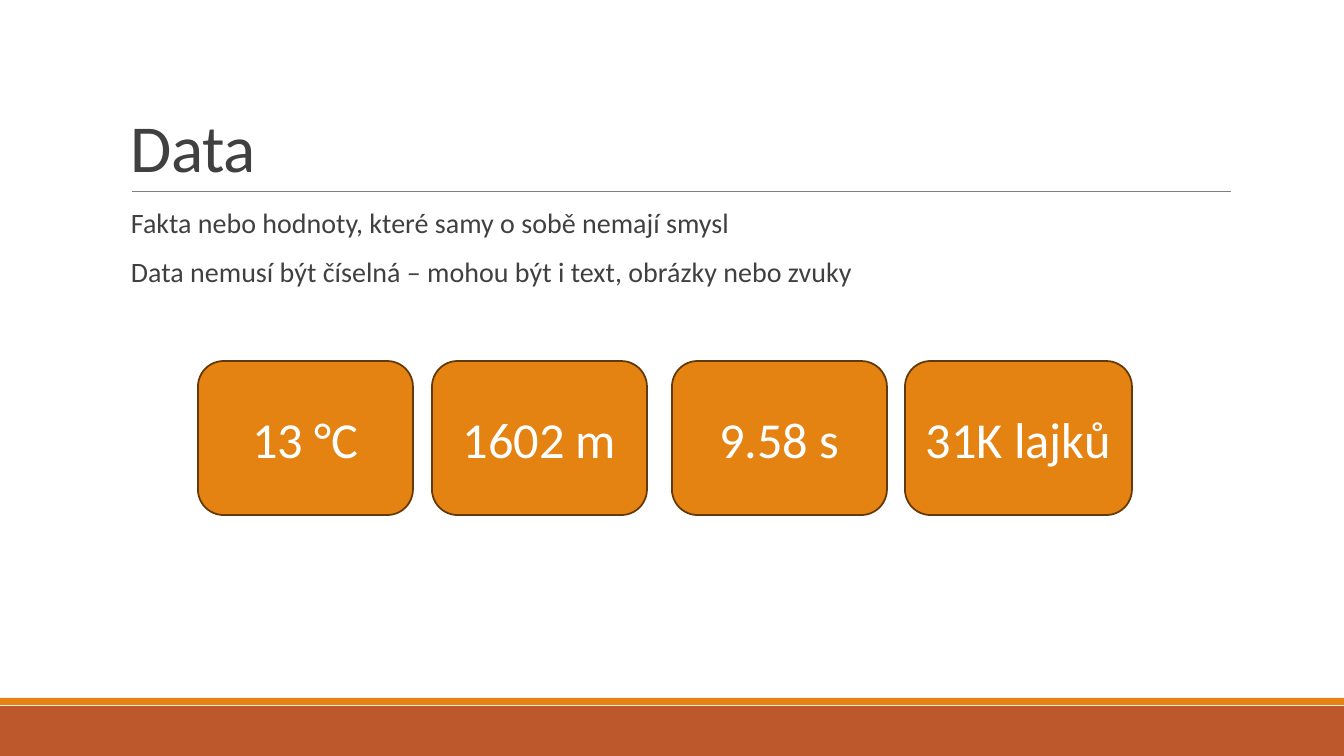
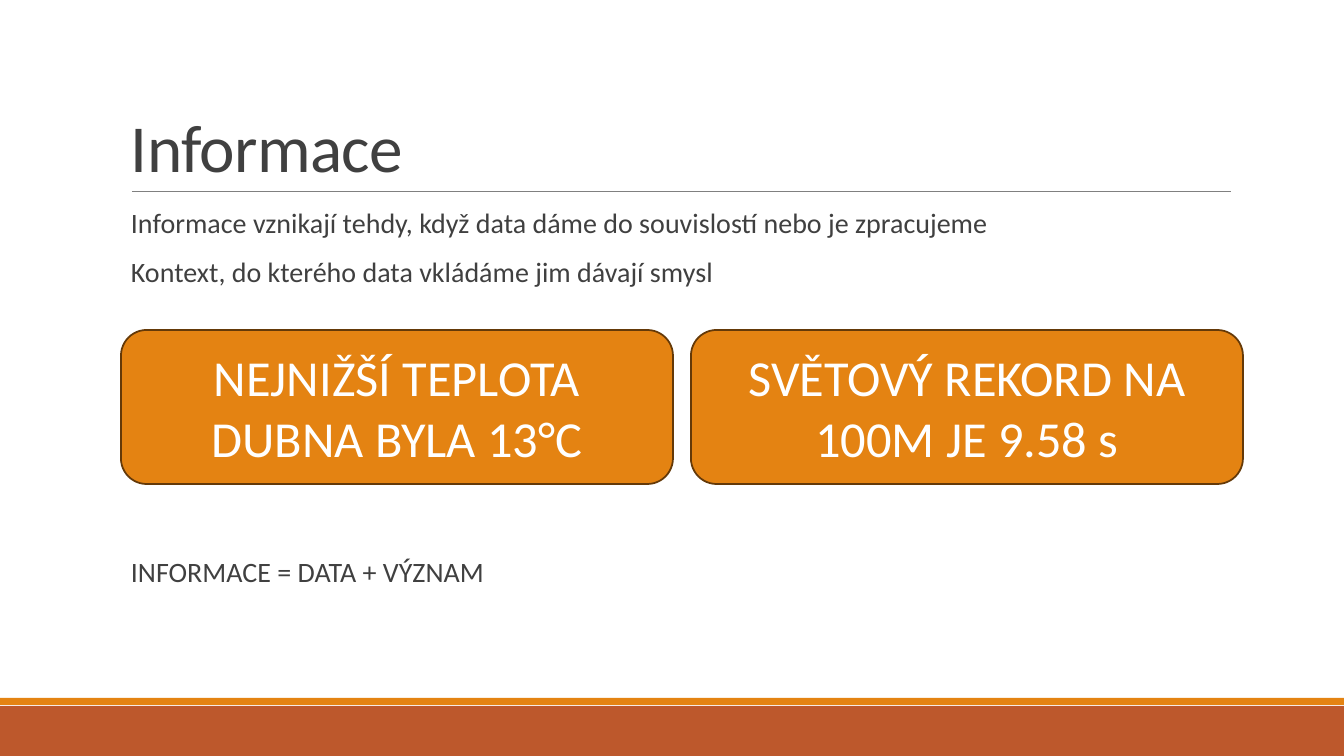
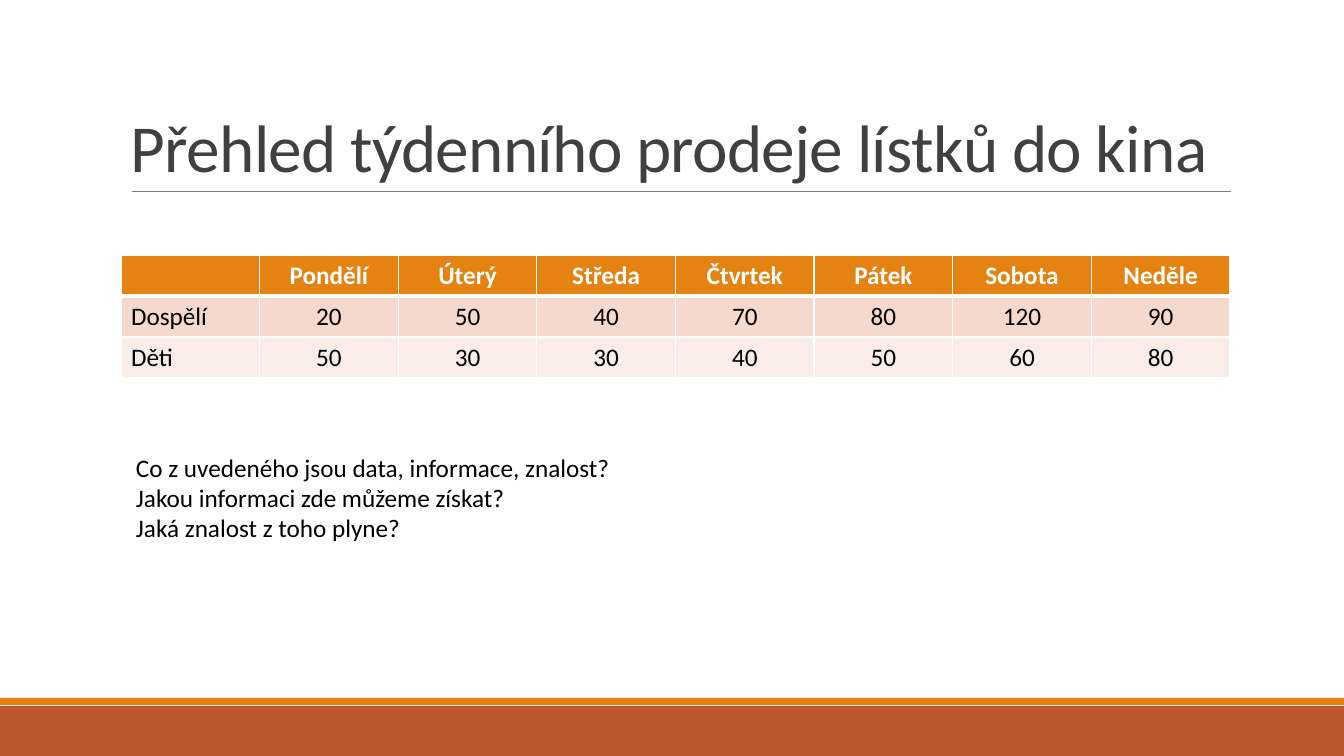
import lxml.etree
import pptx
import pptx.dml.color
import pptx.enum.shapes
import pptx.enum.text
import pptx.oxml.ns
import pptx.util

ANCHOR = pptx.enum.text.MSO_ANCHOR
ALIGN = pptx.enum.text.PP_ALIGN
SHAPE = pptx.enum.shapes.MSO_SHAPE
qn = pptx.oxml.ns.qn


def px(length):
    return pptx.util.Emu(round(length * 914400 / 100.8))


def color(value):
    return pptx.dml.color.RGBColor.from_string(value)


def write(frame, text, size=18, ink="000000", bold=False, align=ALIGN.LEFT,
          anchor=ANCHOR.TOP, leading=1.0, before=0, after=0, tracking=0):
    frame.word_wrap = True
    frame.vertical_anchor = anchor
    for index, line in enumerate(text.split("\n")):
        para = frame.add_paragraph() if index else frame.paragraphs[0]
        para.alignment = align
        para.line_spacing = leading
        para.space_before = pptx.util.Pt(before if index else 0)
        para.space_after = pptx.util.Pt(after)
        span = para.add_run()
        span.text = line
        span.font.name = Slides.FONT
        span.font.size = pptx.util.Pt(size)
        span.font.bold = bold
        span.font.color.rgb = color(ink)
        if tracking:
            span.font._element.set("spc", str(tracking))


class Slides:
    FONT = "Calibri"
    ORANGE = "E48312"
    RUST = "BD582C"
    BROWN = "643908"
    GRAY = "808080"
    INK = "404040"
    WHITE = "FFFFFF"
    ROWS = ("F5D9CC", "FAEDE7")

    def __init__(self):
        self.deck = pptx.Presentation()
        self.deck.slide_width = px(1344)
        self.deck.slide_height = px(756)

    def start(self, title):
        self.page = self.deck.slides.add_slide(self.deck.slide_layouts[6])
        self.shape(SHAPE.RECTANGLE, 0, 706, 1344, 50, self.RUST)
        self.shape(SHAPE.RECTANGLE, 0, 698, 1344, 7, self.ORANGE)
        self.rule(132, 1231, 191)
        self.text(title, 121, 31, 1109, 160, size=48, ink=self.INK,
                  anchor=ANCHOR.BOTTOM, leading=0.85, tracking=-50)

    def shape(self, kind, left, top, width, height, fill):
        shape = self.page.shapes.add_shape(
            kind, px(left), px(top), px(width), px(height))
        shape.shadow.inherit = False
        shape.fill.solid()
        shape.fill.fore_color.rgb = color(fill)
        shape.line.fill.background()
        return shape

    def rule(self, left, right, top):
        line = self.page.shapes.add_connector(
            pptx.enum.shapes.MSO_CONNECTOR.STRAIGHT,
            px(left), px(top), px(right), px(top))
        line.line.color.rgb = color(self.GRAY)
        line.line.width = pptx.util.Pt(0.5)
        lxml.etree.SubElement(line._element.spPr, qn("a:effectLst"))

    def text(self, text, left, top, width, height, **style):
        box = self.page.shapes.add_textbox(
            px(left), px(top), px(width), px(height))
        write(box.text_frame, text, **style)

    def body(self, text, top, height):
        self.text(text, 121, top, 1109, height, size=20, ink=self.INK,
                  leading=0.9, before=12, after=2)

    def card(self, text, left, top, width):
        card = self.shape(SHAPE.ROUNDED_RECTANGLE, left, top, width, 154,
                          self.ORANGE)
        card.line.color.rgb = color(self.BROWN)
        card.line.width = pptx.util.Pt(1.25)
        write(card.text_frame, text, size=36, ink=self.WHITE,
              align=ALIGN.CENTER, anchor=ANCHOR.MIDDLE)

    def border(self, cell, side, points):
        properties = cell._tc.get_or_add_tcPr()
        line = lxml.etree.SubElement(properties, qn("a:ln" + side),
                                     w=str(pptx.util.Pt(points)))
        fill = lxml.etree.SubElement(line, qn("a:solidFill"))
        lxml.etree.SubElement(fill, qn("a:srgbClr"), val=self.WHITE)

    def table(self, rows, left, top, width, row_height):
        table = self.page.shapes.add_table(
            len(rows), len(rows[0]), px(left), px(top), px(width),
            px(row_height * len(rows))).table
        for row, values in enumerate(rows):
            header = row == 0
            for column, value in enumerate(values):
                cell = table.cell(row, column)
                for side in "LRTB":
                    thick = (row, side) in ((0, "B"), (1, "T"))
                    self.border(cell, side, 3 if thick else 1)
                cell.fill.solid()
                cell.fill.fore_color.rgb = color(
                    self.ORANGE if header else self.ROWS[(row - 1) % 2])
                if value:
                    write(cell.text_frame, value, bold=header,
                          ink=self.WHITE if header else "000000",
                          align=ALIGN.CENTER if column else ALIGN.LEFT)
                    cell.vertical_anchor = (
                        ANCHOR.MIDDLE if column else ANCHOR.TOP)


def main():
    slides = Slides()

    slides.start("Data")
    slides.body("Fakta nebo hodnoty, které samy o sobě nemají smysl\n"
                "Data nemusí být číselná – mohou být i text, obrázky nebo zvuky",
                204, 92)
    for text, left, width in (("13 °C", 198, 215), ("1602 m", 432, 215),
                              ("9.58 s", 672, 215), ("31K lajků", 905, 227)):
        slides.card(text, left, 361, width)

    slides.start("Informace")
    slides.body("Informace vznikají tehdy, když data dáme do souvislostí nebo je zpracujeme\n"
                "Kontext, do kterého data vkládáme jim dávají smysl",
                204, 92)
    for index, text in enumerate(("NEJNIŽŠÍ TEPLOTA DUBNA BYLA 13°C",
                                  "SVĚTOVÝ REKORD NA 100M JE 9.58 s")):
        slides.card(text, 121 + index * 570, 330, 552)
    slides.body("INFORMACE = DATA + VÝZNAM", 553, 42)

    slides.start("Přehled týdenního prodeje lístků do kina")
    slides.table((
        ("", "Pondělí", "Úterý", "Středa", "Čtvrtek", "Pátek", "Sobota", "Neděle"),
        ("Dospělí", "20", "50", "40", "70", "80", "120", "90"),
        ("Děti", "50", "30", "30", "40", "50", "60", "80"),
    ), 121, 255, 1109, 41)
    slides.text("Co z uvedeného jsou data, informace, znalost?\n"
                "Jakou informaci zde můžeme získat?\n"
                "Jaká znalost z toho plyne?", 126, 447, 1104, 132)

    slides.deck.save("out.pptx")


if __name__ == "__main__":
    main()
